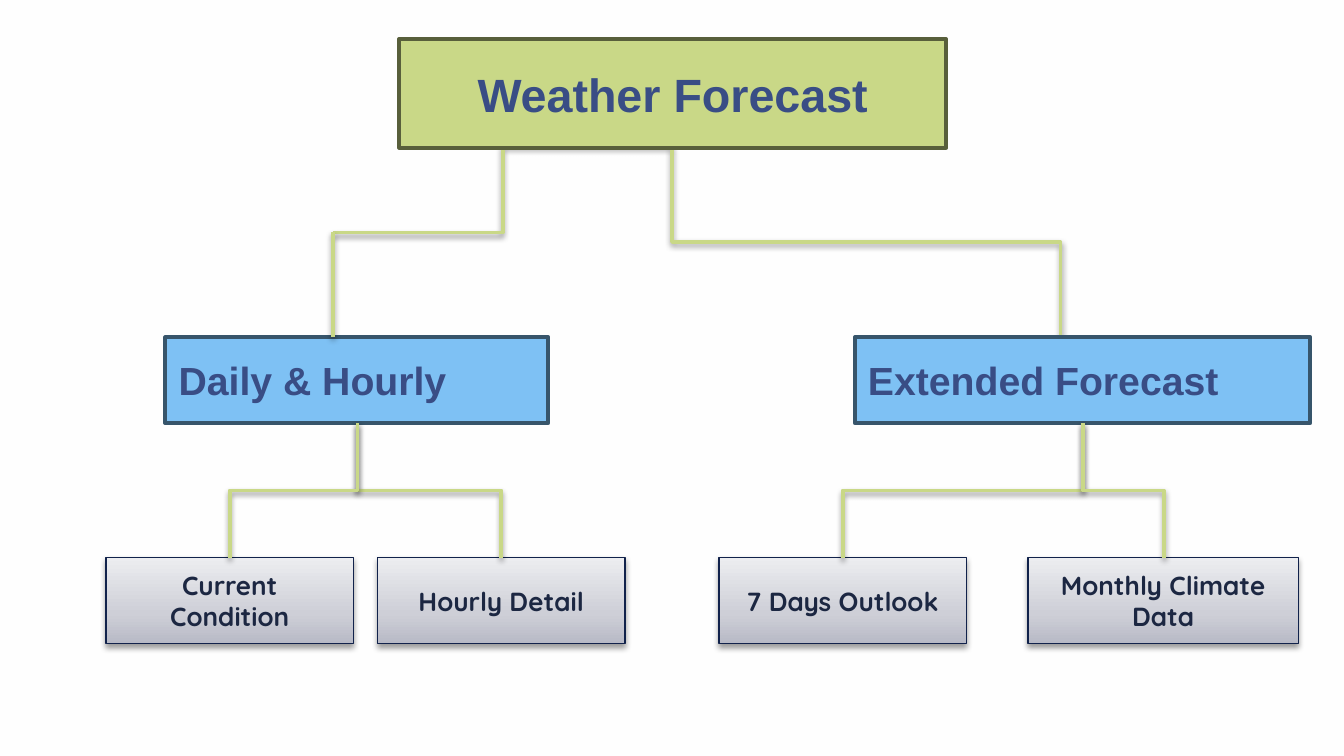
from copy import deepcopy

from lxml.etree import SubElement
from pptx import Presentation
from pptx.dml.color import RGBColor
from pptx.enum.shapes import MSO_CONNECTOR, MSO_SHAPE
from pptx.enum.text import MSO_ANCHOR, MSO_AUTO_SIZE, PP_ALIGN
from pptx.oxml.ns import qn
from pptx.util import Inches, Pt

COLORS = {
    "background": "FEFEFE",
    "green": "C9D887",
    "green_edge": "585F3B",
    "blue": "7EC1F4",
    "blue_edge": "37556B",
    "heading": "394D85",
    "leaf_edge": "11224B",
    "leaf_text": "1C2742",
    "shadow": "000000",
}
LEAF_GRADIENT = [(0, "B8BAC6"), (0.35, "CECFD7"), (1, "ECEDF0")]

ROOT_BOTTOM = 1.09
BRANCH_TOP, BRANCH_BOTTOM = 2.51, 3.15
LEAF_TOP = 4.15
ROW_HEIGHT = 0.64

# Each branch: label, left, width, x of the lines to its leaves, leaves
# Each leaf: label, left, width, x where its line arrives
BRANCHES = [
    ("Daily & Hourly", 1.23, 2.85, 2.66, [
        ("Hourly Detail", 2.81, 1.84, 3.73),
        ("Current Condition", 0.79, 1.84, 1.71)]),
    ("Extended Forecast", 6.36, 3.39, 8.06, [
        ("7 Days Outlook", 5.35, 1.84, 6.27),
        ("Monthly Climate Data", 7.65, 2.01, 8.66)]),
]


def color(name):
    return RGBColor.from_string(COLORS[name])


def add_shadow(shape):
    """Cast a soft shadow straight down; call after fill and line are set."""
    effects = SubElement(shape.element.spPr, qn("a:effectLst"))
    shadow = SubElement(effects, qn("a:outerShdw"), blurRad=str(Pt(3.1)),
                        dist=str(Pt(1.6)), dir="5400000", rotWithShape="0")
    tint = SubElement(shadow, qn("a:srgbClr"), val=COLORS["shadow"])
    SubElement(tint, qn("a:alpha"), val="38000")


def style_line(connector):
    connector.line.color.rgb = color("green")
    connector.line.width = Pt(2)
    add_shadow(connector)


def add_line(page, kind, start, end):
    points = [Inches(value) for value in (*start, *end)]
    style_line(page.shapes.add_connector(kind, *points))


def add_drop(page, start, end):
    """Elbow that leaves and arrives vertically: a turned connector."""
    (x1, y1), (x2, y2) = start, end
    run, drop = abs(x2 - x1), y2 - y1
    left = (x1 + x2 - drop) / 2
    top = (y1 + y2 - run) / 2
    to_right = x2 > x1
    begin_x, end_x = (left + drop, left) if to_right else (left, left + drop)
    connector = page.shapes.add_connector(
        MSO_CONNECTOR.ELBOW, Inches(begin_x), Inches(top),
        Inches(end_x), Inches(top + run))
    turn = 270 if to_right else 90
    connector.element.spPr.find(qn("a:xfrm")).set("rot", str(turn * 60000))
    style_line(connector)


def write_label(shape, text, font_name, size, font_color, align):
    frame = shape.text_frame
    frame.word_wrap = True
    frame.auto_size = MSO_AUTO_SIZE.NONE
    frame.vertical_anchor = MSO_ANCHOR.MIDDLE
    frame.margin_left = frame.margin_right = Inches(0.1)
    frame.margin_top = frame.margin_bottom = Inches(0.1)
    frame.text = text
    para = frame.paragraphs[0]
    para.alignment = align
    para.font.name = font_name
    para.font.size = Pt(size)
    para.font.bold = True
    para.font.color.rgb = color(font_color)


def fill_box(shape, fill, edge):
    shape.fill.solid()
    shape.fill.fore_color.rgb = color(fill)
    shape.line.color.rgb = color(edge)
    shape.line.width = Pt(2)


def add_root(page, text):
    title = page.shapes.title
    title.left, title.top = Inches(2.97), Inches(0.29)
    title.width, title.height = Inches(4.07), Inches(0.81)
    fill_box(title, "green", "green_edge")
    write_label(title, text, "Arial", 25, "heading", PP_ALIGN.CENTER)
    # Bring the title in front of the lines that start under it
    page.shapes.element.append(title.element)


def add_box(page, left, top, width):
    return page.shapes.add_shape(
        MSO_SHAPE.RECTANGLE, Inches(left), Inches(top),
        Inches(width), Inches(ROW_HEIGHT))


def add_branch(page, text, left, width):
    box = add_box(page, left, BRANCH_TOP, width)
    fill_box(box, "blue", "blue_edge")
    box.shadow.inherit = False
    write_label(box, text, "Arial", 21, "heading", PP_ALIGN.LEFT)


def add_leaf(page, text, left, width):
    box = add_box(page, left, LEAF_TOP, width)
    box.fill.gradient()
    box.fill.gradient_angle = 90
    stop_list = box.element.spPr.find(qn("a:gradFill")).find(qn("a:gsLst"))
    stop_list.append(deepcopy(stop_list[-1]))
    for stop, (position, tint) in zip(box.fill.gradient_stops, LEAF_GRADIENT):
        stop.position = position
        stop.color.rgb = RGBColor.from_string(tint)
    box.line.color.rgb = color("leaf_edge")
    box.line.width = Pt(0.75)
    add_shadow(box)
    write_label(box, text, "Quicksand", 14, "leaf_text", PP_ALIGN.CENTER)


def main():
    deck = Presentation()
    # Widescreen page, 16:9
    deck.slide_width = Inches(10)
    deck.slide_height = Inches(10 * 9 / 16)
    page = deck.slides.add_slide(deck.slide_layouts[5])
    page.background.fill.solid()
    page.background.fill.fore_color.rgb = color("background")

    # Root with its lines to the two branches
    root_exit, bend = (5, ROOT_BOTTOM), (2.48, 1.73)
    add_line(page, MSO_CONNECTOR.ELBOW, root_exit, bend)
    add_drop(page, root_exit, (7.89, BRANCH_TOP))
    add_root(page, "Weather Forecast")

    # Branches and leaves
    for text, left, width, _, leaves in BRANCHES:
        add_branch(page, text, left, width)
        for leaf_text, leaf_left, leaf_width, _ in leaves:
            add_leaf(page, leaf_text, leaf_left, leaf_width)

    # Lines from branches to leaves, in front of the boxes
    for *_, exit_x, leaves in BRANCHES:
        for *_, leaf_x in leaves:
            add_drop(page, (exit_x, BRANCH_BOTTOM), (leaf_x, LEAF_TOP))
    add_line(page, MSO_CONNECTOR.STRAIGHT, bend, (bend[0], BRANCH_TOP))

    deck.save("out.pptx")


if __name__ == "__main__":
    main()
